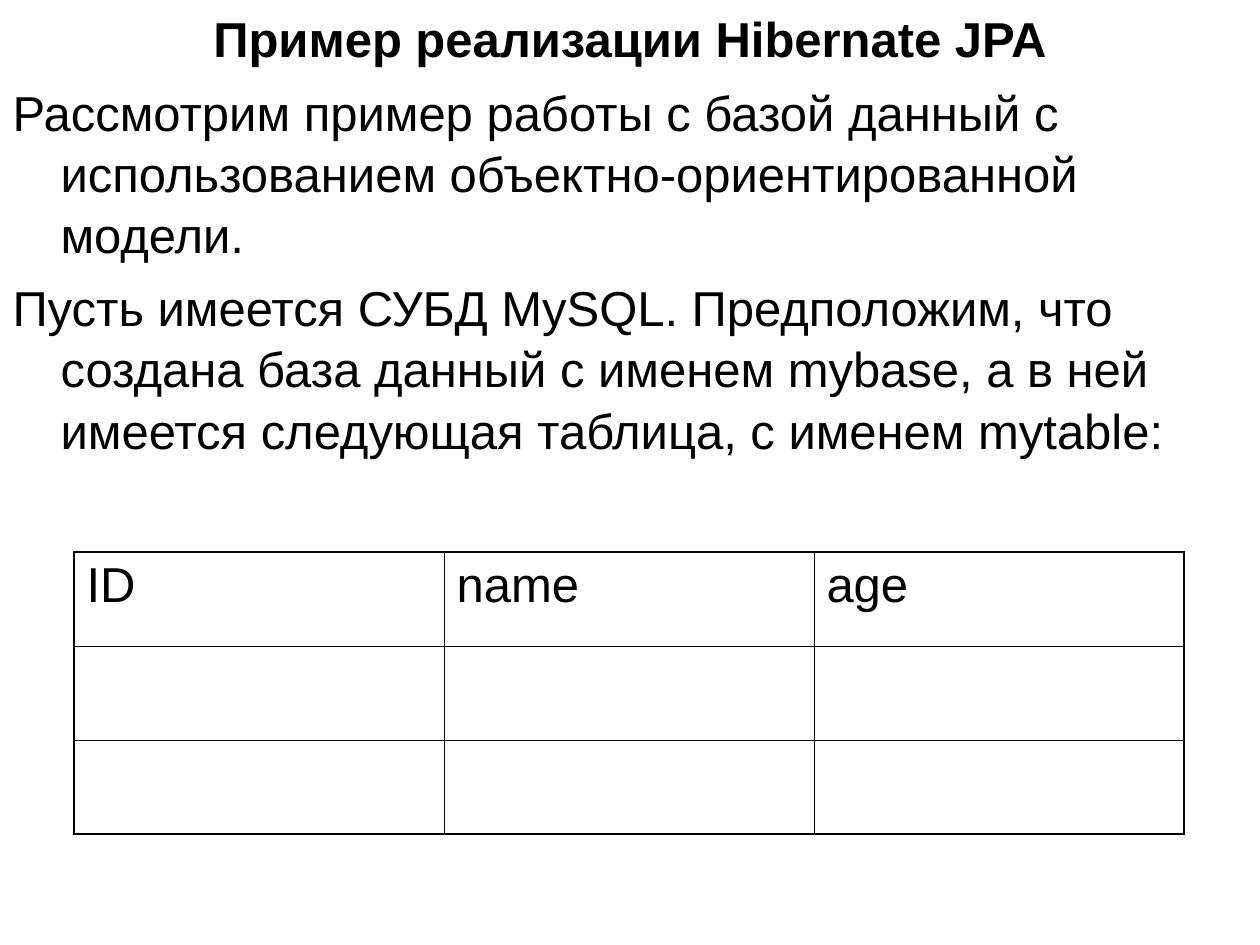
import pptx
import pptx.util
import pptx.dml.color
import pptx.enum.text
import pptx.oxml
import pptx.oxml.ns

HEADING = "Пример реализации Hibernate JPA"
PARAGRAPHS = [
    "Рассмотрим пример работы с базой данный с использованием "
    "объектно-ориентированной модели.",
    "Пусть имеется СУБД MySQL. Предположим, что создана база данный с именем "
    "mybase, а в ней имеется следующая таблица, с именем mytable:",
]
TABLE_ROWS = [("ID", "name", "age"), ("", "", ""), ("", "", "")]

FONT, FONT_SIZE = "Arial", 28
BLACK = "000000"
SLIDE_SIZE = (1260, 945)
BODY_BOX = (0, 0, 1260, 512)
TABLE_LEFT, TABLE_TOP = 74, 552
COLUMN_WIDTH, ROW_HEIGHT = 370, 94
HANGING_INDENT = 48
OUTER_LINE, INNER_LINE = 1.08, 0.45


def px(length):
    return pptx.util.Emu(round(length * 914400 / 126))


def color(hex_string):
    return pptx.dml.color.RGBColor.from_string(hex_string)


def add_run(paragraph, text, bold=False):
    run = paragraph.add_run()
    run.text = text
    run.font.name = FONT
    run.font.size = pptx.util.Pt(FONT_SIZE)
    run.font.bold = bold
    run.font.color.rgb = color(BLACK)


def add_border(cell, side, width):
    """Draw one side (L, R, T or B) of a cell; width is in points."""
    cell._tc.get_or_add_tcPr().append(pptx.oxml.parse_xml(
        f'<a:ln{side} {pptx.oxml.ns.nsdecls("a")} w="{pptx.util.Pt(width)}">'
        f'<a:solidFill><a:srgbClr val="{BLACK}"/></a:solidFill></a:ln{side}>'))


def fill_body(body):
    body.left, body.top, body.width, body.height = map(px, BODY_BOX)
    frame = body.text_frame
    frame.word_wrap = True
    frame.auto_size = pptx.enum.text.MSO_AUTO_SIZE.NONE
    frame.vertical_anchor = pptx.enum.text.MSO_ANCHOR.TOP
    for index, text in enumerate([HEADING] + PARAGRAPHS):
        is_heading = index == 0
        paragraph = frame.paragraphs[0] if is_heading else frame.add_paragraph()
        properties = paragraph._p.get_or_add_pPr()
        properties.set("marL", str(px(HANGING_INDENT)))
        properties.set("indent", str(-px(HANGING_INDENT)))
        properties.append(pptx.oxml.parse_xml(
            f'<a:buNone {pptx.oxml.ns.nsdecls("a")}/>'))
        paragraph.space_before = pptx.util.Pt(0 if is_heading else 7)
        paragraph.line_spacing = 1.04
        align = pptx.enum.text.PP_ALIGN
        paragraph.alignment = align.CENTER if is_heading else align.LEFT
        add_run(paragraph, text, bold=is_heading)


def add_database_table(slide):
    row_count, column_count = len(TABLE_ROWS), len(TABLE_ROWS[0])
    table = slide.shapes.add_table(
        row_count, column_count, px(TABLE_LEFT), px(TABLE_TOP),
        px(COLUMN_WIDTH * column_count), px(ROW_HEIGHT * row_count)).table
    table.first_row = False
    table.horz_banding = False
    for r, row in enumerate(TABLE_ROWS):
        for c, text in enumerate(row):
            cell = table.cell(r, c)
            outer_sides = {"L": c == 0, "R": c == column_count - 1,
                           "T": r == 0, "B": r == row_count - 1}
            for side, is_outer in outer_sides.items():
                add_border(cell, side, OUTER_LINE if is_outer else INNER_LINE)
            cell.fill.background()
            if text:
                add_run(cell.text_frame.paragraphs[0], text)


def main():
    presentation = pptx.Presentation()
    presentation.slide_width, presentation.slide_height = map(px, SLIDE_SIZE)
    slide = presentation.slides.add_slide(presentation.slide_layouts[1])
    empty_title = slide.shapes.title.element
    empty_title.getparent().remove(empty_title)
    fill_body(slide.placeholders[1])
    add_database_table(slide)
    presentation.save("out.pptx")


if __name__ == "__main__":
    main()
